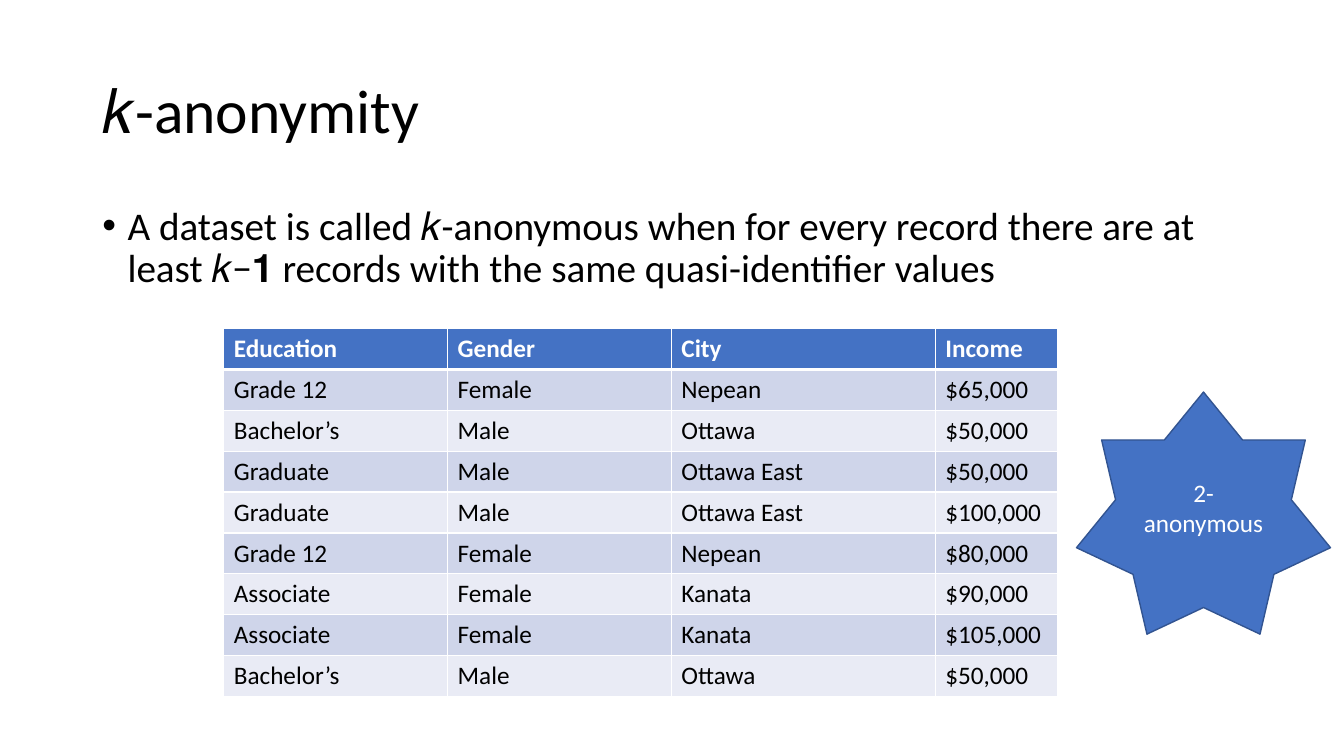
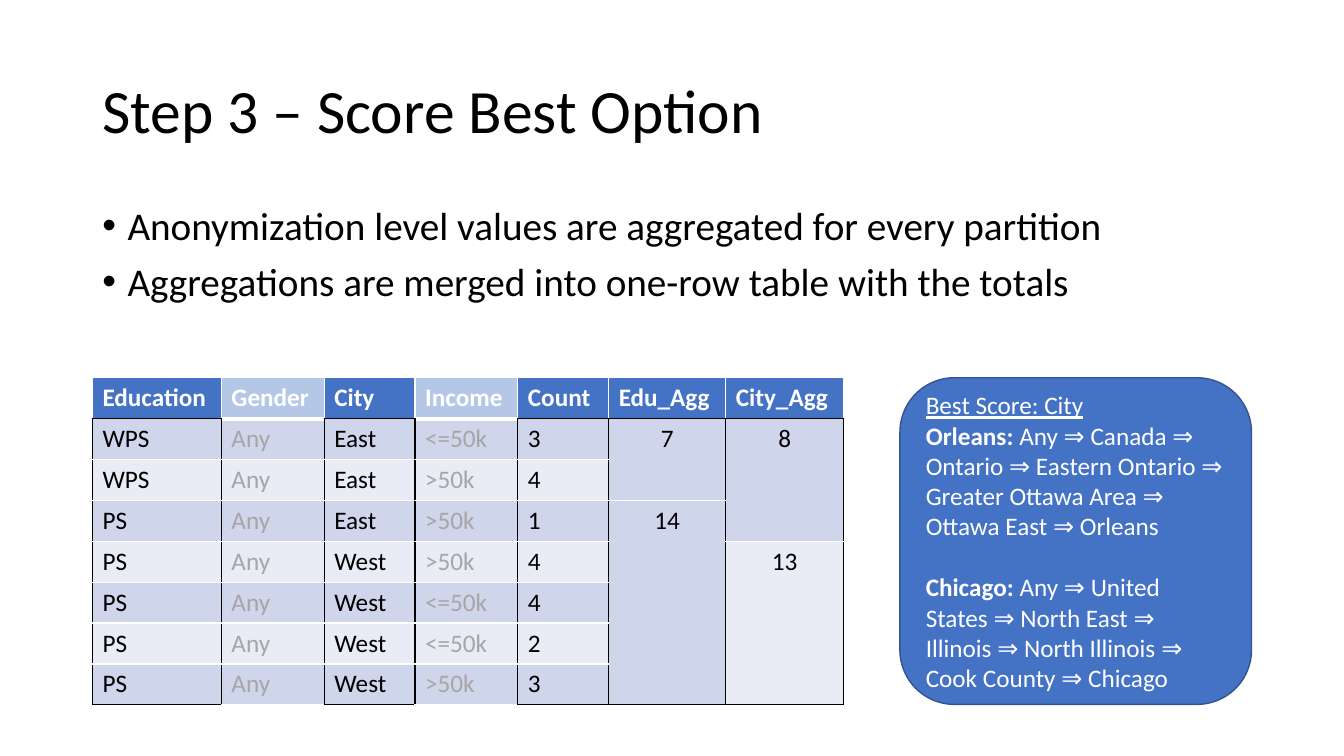
from lxml.etree import SubElement
from pptx import Presentation
from pptx.dml.color import RGBColor
from pptx.enum.shapes import MSO_SHAPE
from pptx.enum.text import MSO_ANCHOR, PP_ALIGN
from pptx.oxml import parse_xml
from pptx.oxml.ns import nsdecls, qn
from pptx.util import Cm, Pt

FONT = "Calibri"
BLACK = RGBColor(0x00, 0x00, 0x00)
WHITE = RGBColor(0xFF, 0xFF, 0xFF)
BLUE = RGBColor(0x44, 0x72, 0xC4)
NAVY = RGBColor(0x32, 0x54, 0x91)
PALE = RGBColor(0xB4, 0xC7, 0xE7)
GREY = RGBColor(0xA6, 0xA6, 0xA6)
BANDS = (RGBColor(0xE9, 0xEB, 0xF5), RGBColor(0xCF, 0xD5, 0xEA))

LEFT = 2.33
WIDTH = 29.21
ROW = 1.03

PEOPLE = [
    ("Education", "Gender", "City", "Income"),
    ("Grade 12", "Female", "Nepean", "$65,000"),
    ("Bachelor’s", "Male", "Ottawa", "$50,000"),
    ("Graduate", "Male", "Ottawa East", "$50,000"),
    ("Graduate", "Male", "Ottawa East", "$100,000"),
    ("Grade 12", "Female", "Nepean", "$80,000"),
    ("Associate", "Female", "Kanata", "$90,000"),
    ("Associate", "Female", "Kanata", "$105,000"),
    ("Bachelor’s", "Male", "Ottawa", "$50,000"),
]

SCORES = [
    ("Education", "Gender", "City", "Income", "Count", "Edu_Agg", "City_Agg"),
    ("WPS", "Any", "East", "<=50k", "3", "7", "8"),
    ("WPS", "Any", "East", ">50k", "4", "", ""),
    ("PS", "Any", "East", ">50k", "1", "14", ""),
    ("PS", "Any", "West", ">50k", "4", "", "13"),
    ("PS", "Any", "West", "<=50k", "4", "", ""),
    ("PS", "Any", "West", "<=50k", "2", "", ""),
    ("PS", "Any", "West", ">50k", "3", "", ""),
]
SPANS = [(1, 5, 2), (3, 5, 5), (1, 6, 3), (4, 6, 4)]


def write(frame, text, lead="", size=18, color=BLACK, bold=False, under=False,
          align=PP_ALIGN.LEFT, gap=0, pitch=1.0):
    para = frame.paragraphs[0]
    if para.runs:
        para = frame.add_paragraph()
    para.alignment = align
    para.line_spacing = pitch
    para.space_before = Pt(gap)
    for part, heavy in ((lead, True), (text, bold)):
        if part:
            run = para.add_run()
            run.text = part
            font = run.font
            font.name = FONT
            font.size = Pt(size)
            font.bold = heavy
            font.underline = under
            font.color.rgb = color
    return para


def add_box(slide, left, top, width, height, anchor):
    box = slide.shapes.add_textbox(Cm(left), Cm(top), Cm(width), Cm(height))
    frame = box.text_frame
    frame.word_wrap = True
    frame.vertical_anchor = anchor
    return frame


def add_title(slide, text):
    frame = add_box(slide, LEFT, 1.02, WIDTH, 3.68, MSO_ANCHOR.MIDDLE)
    write(frame, text, size=44, pitch=0.9)


def add_points(slide, points):
    frame = add_box(slide, LEFT, 5.07, WIDTH, 12.09, MSO_ANCHOR.TOP)
    for point in points:
        para = write(frame, point, size=28, gap=10, pitch=0.9)
        props = para._p.get_or_add_pPr()
        props.set("marL", str(Pt(18)))
        props.set("indent", str(-Pt(18)))
        SubElement(props, qn("a:buFont"), typeface="Arial")
        SubElement(props, qn("a:buChar"), char="•")


def add_badge(slide, kind, left, top, width, height):
    badge = slide.shapes.add_shape(kind, Cm(left), Cm(top), Cm(width), Cm(height))
    badge.shadow.inherit = False
    badge.fill.solid()
    badge.fill.fore_color.rgb = BLUE
    badge.line.color.rgb = NAVY
    badge.line.width = Pt(1)
    frame = badge.text_frame
    frame.word_wrap = True
    frame.vertical_anchor = MSO_ANCHOR.MIDDLE
    return frame


def set_edges(cell, side, top, bottom):
    props = cell._tc.get_or_add_tcPr()
    for spot, (tag, edge) in enumerate(zip("LRTB", (side, side, top, bottom))):
        color, width = edge
        props.insert(spot, parse_xml(
            f'<a:ln{tag} {nsdecls("a")} w="{Pt(width)}"><a:solidFill>'
            f'<a:srgbClr val="{color}"/></a:solidFill></a:ln{tag}>'))


def add_grid(slide, rows, left, top, widths, spans=(), faded=(), framed=False):
    grid = slide.shapes.add_table(len(rows), len(widths), Cm(left), Cm(top),
                                  Cm(sum(widths)), Cm(ROW * len(rows))).table
    for col, width in enumerate(widths):
        grid.columns[col].width = Cm(width)
    for line in grid.rows:
        line.height = Cm(ROW)
    for row, col, height in spans:
        grid.cell(row, col).merge(grid.cell(row + height - 1, col))

    thin, dark = (WHITE, 1), (BLACK, 1)
    for row, texts in enumerate(rows):
        for col, text in enumerate(texts):
            cell = grid.cell(row, col)
            head, dim = row == 0, col in faded
            boxed = framed and not dim
            lid = dark if boxed else (WHITE, 3)
            last = row + cell.span_height == len(rows)
            set_edges(cell,
                      side=dark if framed and not head else thin,
                      top=lid if row == 1 else thin,
                      bottom=lid if head else dark if boxed and last else thin)
            cell.fill.solid()
            if head:
                cell.fill.fore_color.rgb = PALE if dim else BLUE
                color = WHITE
            else:
                cell.fill.fore_color.rgb = BANDS[row % 2]
                color = GREY if dim else BLACK
            if text:
                align = PP_ALIGN.CENTER if cell.is_merge_origin else PP_ALIGN.LEFT
                write(cell.text_frame, text, color=color, bold=head, align=align)


def add_slide(deck, title, points):
    slide = deck.slides.add_slide(deck.slide_layouts[6])
    add_title(slide, title)
    add_points(slide, points)
    return slide


def main():
    deck = Presentation()
    deck.slide_width = Cm(33.87)
    deck.slide_height = Cm(19.05)

    slide = add_slide(deck, "𝑘-anonymity", [
        "A dataset is called 𝑘-anonymous when for every record there are at "
        "least 𝑘−𝟏 records with the same quasi-identifier values"])
    add_grid(slide, PEOPLE, 5.64, 8.28, (5.64, 5.64, 6.65, 3.07))
    star = add_badge(slide, MSO_SHAPE.STAR_7_POINT, 27.13, 9.88, 6.4, 6.1)
    write(star, "2-anonymous", color=WHITE, align=PP_ALIGN.CENTER)

    slide = add_slide(deck, "Step 3 – Score Best Option", [
        "Anonymization level values are aggregated for every partition",
        "Aggregations are merged into one-row table with the totals"])
    add_grid(slide, SCORES, LEFT, 9.52, (3.25, 2.59, 2.29, 2.59, 2.29, 2.95, 2.97),
             spans=SPANS, faded=(1, 3), framed=True)
    card = add_badge(slide, MSO_SHAPE.ROUNDED_RECTANGLE, 22.68, 9.52, 8.86, 8.23)
    write(card, "Best Score: City", color=WHITE, under=True)
    write(card, " Any ⇒ Canada ⇒ Ontario ⇒ Eastern Ontario ⇒ "
          "Greater Ottawa Area ⇒ Ottawa East ⇒ Orleans",
          lead="Orleans:", color=WHITE)
    write(card, " Any ⇒ United States ⇒ North East ⇒ Illinois ⇒ "
          "North Illinois ⇒ Cook County ⇒ Chicago",
          lead="Chicago:", color=WHITE, gap=22)

    deck.save("out.pptx")


if __name__ == "__main__":
    main()
